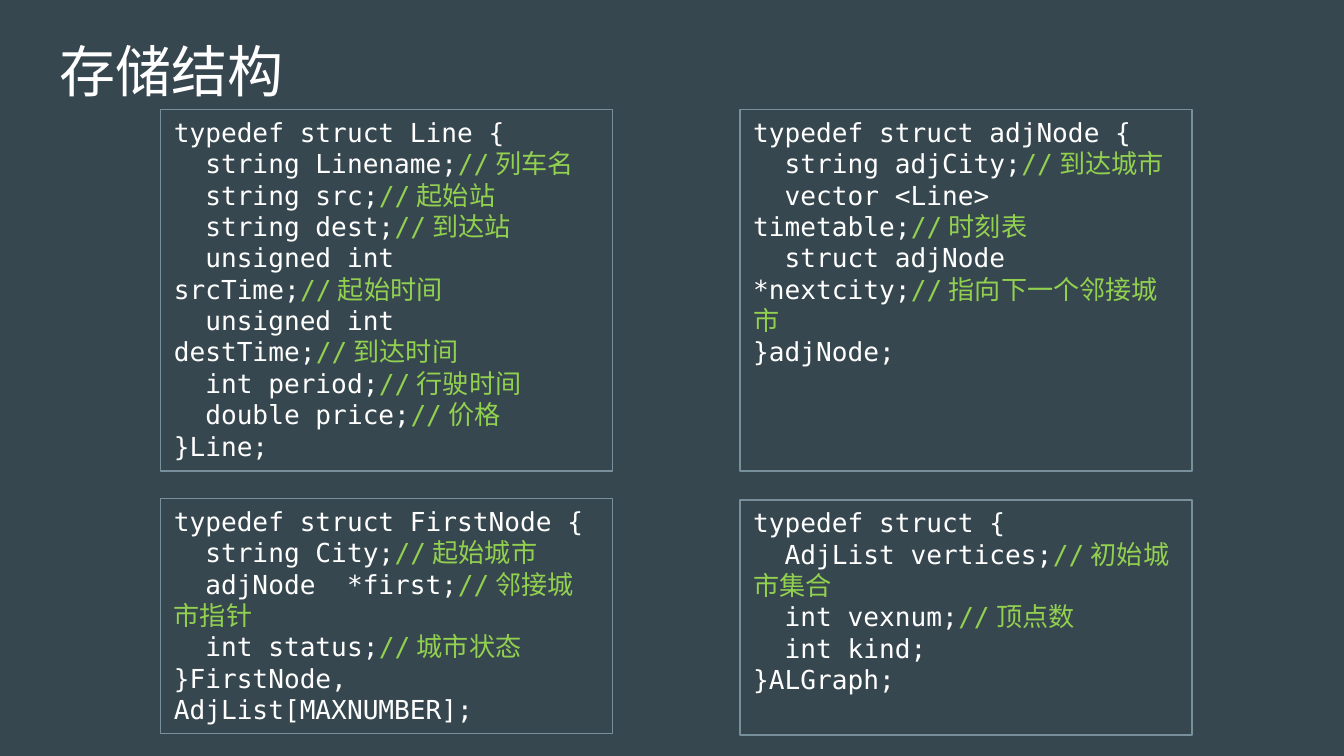
"""Build the slide showing the four storage structures of a train timetable."""
from dataclasses import dataclass

from pptx import Presentation
from pptx.dml.color import RGBColor
from pptx.enum.shapes import MSO_SHAPE
from pptx.enum.text import MSO_ANCHOR, PP_ALIGN
from pptx.util import Emu, Pt

EMU_PER_PX = 4572
CODE_FONT = "DejaVu Sans Mono"
CODE_SIZE = 14
BOX_WIDTH = 673
LEFT, RIGHT = 239, 1101
WHITE, GREEN, BACKGROUND, BORDER = "FFFFFF", "92D050", "37474F", "78909C"


@dataclass(frozen=True)
class CodeLine:
    """A line of code with its comment."""
    code: str
    comment: str = ""


@dataclass(frozen=True)
class CodeBox:
    """A bordered box holding one structure definition."""
    left: int
    top: int
    height: int
    lines: tuple[CodeLine, ...]


CODE_BOXES = (
    CodeBox(LEFT, 163, 538, (
        CodeLine("typedef struct Line {"),
        CodeLine("  string Linename;", "列车名"),
        CodeLine("  string src;", "起始站"),
        CodeLine("  string dest;", "到达站"),
        CodeLine("  unsigned int srcTime;", "起始时间"),
        CodeLine("  unsigned int destTime;", "到达时间"),
        CodeLine("  int period;", "行驶时间"),
        CodeLine("  double price;", "价格"),
        CodeLine("}Line;"),
    )),
    CodeBox(LEFT, 742, 350, (
        CodeLine("typedef struct FirstNode {"),
        CodeLine("  string City;", "起始城市"),
        CodeLine("  adjNode  *first;", "邻接城市指针"),
        CodeLine("  int status;", "城市状态"),
        CodeLine("}FirstNode, AdjList[MAXNUMBER];"),
    )),
    CodeBox(RIGHT, 744, 350, (
        CodeLine("typedef struct {"),
        CodeLine("  AdjList vertices;", "初始城市集合"),
        CodeLine("  int vexnum;", "顶点数"),
        CodeLine("  int kind;"),
        CodeLine("}ALGraph;"),
    )),
    CodeBox(RIGHT, 163, 538, (
        CodeLine("typedef struct adjNode {"),
        CodeLine("  string adjCity;", "到达城市"),
        CodeLine("  vector <Line> timetable;", "时刻表"),
        CodeLine("  struct adjNode *nextcity;", "指向下一个邻接城市"),
        CodeLine("}adjNode;"),
    )),
)


def px(length: int) -> Emu:
    """Turn pixels into EMU."""
    return Emu(length * EMU_PER_PX)


def color(value: str) -> RGBColor:
    """Turn a hex string into a colour."""
    return RGBColor.from_string(value)


def add_text(paragraph, text: str, *, font: str = CODE_FONT,
             size: int = CODE_SIZE, fill: str = WHITE) -> None:
    """Append a formatted run to a paragraph."""
    run = paragraph.add_run()
    run.text = text
    run.font.name = font
    run.font.size = Pt(size)
    run.font.color.rgb = color(fill)


def draw_title(slide, text: str) -> None:
    """Place and format the slide title."""
    title = slide.shapes.title
    title.left, title.top, title.width, title.height = map(px, (68, 34, 1864, 126))
    frame = title.text_frame
    frame.margin_left = frame.margin_right = px(20)
    frame.margin_top = frame.margin_bottom = px(20)
    frame.vertical_anchor = MSO_ANCHOR.TOP
    paragraph = frame.paragraphs[0]
    paragraph.alignment = PP_ALIGN.LEFT
    add_text(paragraph, text, font="Arial Narrow", size=30)


def draw_code_box(slide, box: CodeBox) -> None:
    """Draw one structure definition in its bordered box."""
    shape = slide.shapes.add_shape(
        MSO_SHAPE.RECTANGLE, px(box.left), px(box.top), px(BOX_WIDTH), px(box.height))
    shape.shadow.inherit = False
    shape.fill.background()
    shape.line.color.rgb = color(BORDER)
    shape.line.width = Pt(0.75)
    frame = shape.text_frame
    frame.word_wrap = True
    frame.vertical_anchor = MSO_ANCHOR.TOP
    for index, line in enumerate(box.lines):
        paragraph = frame.add_paragraph() if index else frame.paragraphs[0]
        paragraph.alignment = PP_ALIGN.LEFT
        add_text(paragraph, line.code)
        if line.comment:
            add_text(paragraph, f"//{line.comment}", fill=GREEN)


def main() -> None:
    """Build and save the presentation."""
    presentation = Presentation()
    presentation.slide_width, presentation.slide_height = px(2000), px(1125)
    slide = presentation.slides.add_slide(presentation.slide_layouts[5])
    slide.background.fill.solid()
    slide.background.fill.fore_color.rgb = color(BACKGROUND)
    draw_title(slide, "存储结构")
    for box in CODE_BOXES:
        draw_code_box(slide, box)
    presentation.save("out.pptx")


if __name__ == "__main__":
    main()
